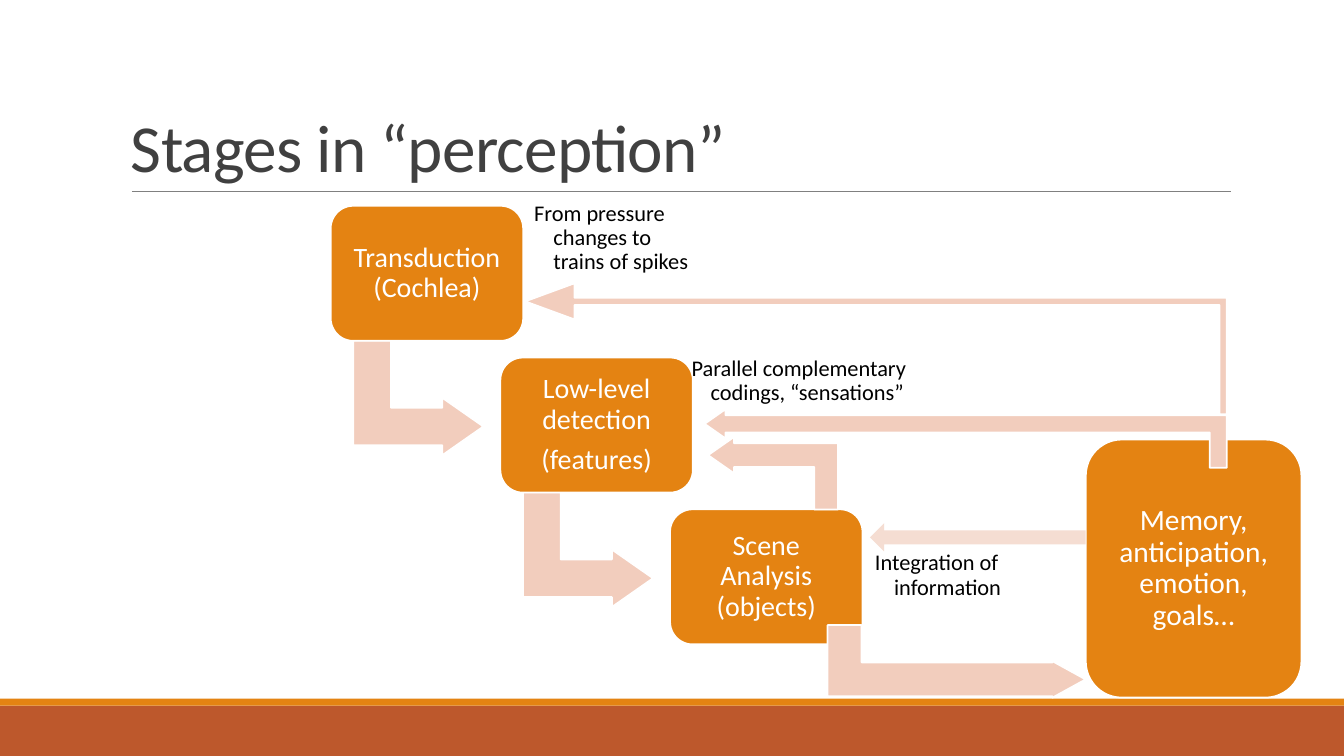
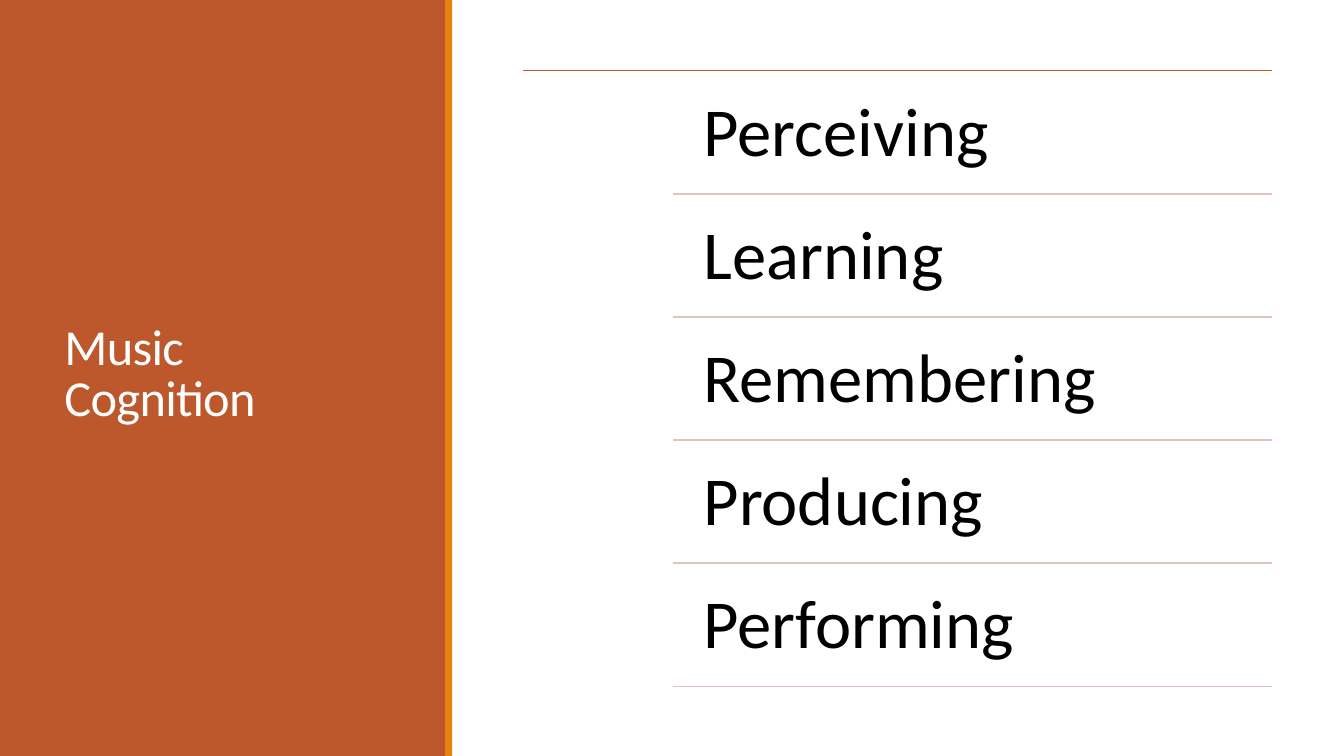
"""Build two slides on stages of perception and music cognition."""
from lxml import etree
from pptx import Presentation
from pptx.dml.color import RGBColor
from pptx.enum.shapes import MSO_CONNECTOR, MSO_SHAPE
from pptx.enum.text import MSO_ANCHOR, PP_ALIGN
from pptx.oxml.ns import qn
from pptx.util import Pt

RECTANGLE = MSO_SHAPE.RECTANGLE
ROUNDED = MSO_SHAPE.ROUNDED_RECTANGLE
BENT_ARROW = MSO_SHAPE.BENT_UP_ARROW
RIGHT_ARROW = MSO_SHAPE.RIGHT_ARROW
STRAIGHT = MSO_CONNECTOR.STRAIGHT
TOP, MIDDLE, BOTTOM = MSO_ANCHOR.TOP, MSO_ANCHOR.MIDDLE, MSO_ANCHOR.BOTTOM
LEFT, CENTER = PP_ALIGN.LEFT, PP_ALIGN.CENTER

FONT = "Calibri"
WIDTH, HEIGHT = 960, 540
ACCENT = 5
COLORS = {
    "rust": "BD582C", "orange": "E48312", "white": "FFFFFF", "black": "000000",
    "title": "404040", "gray": "808080", "arrow": "F2CDBD",
    "pale_arrow": "F5DDD2", "divider": "E1C4BE",
}

STAGE_SIZE = (137.5, 96.5)
STAGE_STEP = (121.2, 108.4)
STAGES = [
    (["Transduction (Cochlea)"],
     "From pressure changes to trains of spikes", (140.4, -1.4, 128.9, 49)),
    (["Low-level detection", "(features)"],
     "Parallel complementary codings, “sensations”", (131.6, -20.7, 170.6, 74.9)),
    (["Scene Analysis (objects)"],
     "Integration of information", (141.4, 8.6, 125.3, 77.8)),
]
TURN = (0.328, 0.25, 0.358)
ARROWS_BEHIND = [
    ((526.3, 291.6, 51.8, 92.9), 270, TURN),
    ((578.9, -1.4, 93.6, 501.1), 270, (0.055, 0.138, 0.377)),
]
ARROWS_IN_FRONT = [
    ((657.4, 380.2, 51.8, 184.3), 90, (0.468, 0.25, 0.455)),
    ((668.9, 126.7, 41.8, 373), 270, (0.293, 0.25, 0.358)),
]
TOPICS = ["Perceiving", "Learning", "Remembering", "Producing", "Performing"]


def color(name):
    """Return a named colour."""
    return RGBColor.from_string(COLORS[name])


def add_block(page, kind, box, fill, outline=None):
    """Add a filled preset shape."""
    block = page.shapes.add_shape(kind, *map(Pt, box))
    block.shadow.inherit = False
    block.fill.solid()
    block.fill.fore_color.rgb = color(fill)
    if outline:
        block.line.color.rgb = color(outline)
        block.line.width = Pt(1.25)
    else:
        block.line.fill.background()
    return block


def add_rule(page, left, right, y, line_color, weight):
    """Add a horizontal line."""
    rule = page.shapes.add_connector(STRAIGHT, Pt(left), Pt(y), Pt(right), Pt(y))
    rule.line.color.rgb = color(line_color)
    rule.line.width = Pt(weight)
    etree.SubElement(rule._element.spPr, qn("a:effectLst"))


def write(shape, lines, size, text_color, anchor=MIDDLE, align=LEFT,
          inset=(7.2, 3.6), spacing=0.9, hanging=0, tracking=0):
    """Write styled paragraphs into a shape."""
    frame = shape.text_frame
    frame.word_wrap = True
    frame.vertical_anchor = anchor
    frame.margin_left = frame.margin_right = Pt(inset[0])
    frame.margin_top = frame.margin_bottom = Pt(inset[1])
    for index, line in enumerate(lines):
        para = frame.add_paragraph() if index else frame.paragraphs[0]
        para.text = line
        para.alignment = align
        para.line_spacing = spacing
        if index < len(lines) - 1:
            para.space_after = Pt(round(size * 0.35))
        if hanging:
            properties = para._p.get_or_add_pPr()
            properties.set("marL", str(Pt(hanging)))
            properties.set("indent", str(-Pt(hanging)))
        font = para.font
        font.name = FONT
        font.size = Pt(size)
        font.color.rgb = color(text_color)
        if tracking:
            font._rPr.set("spc", str(round(tracking * 100)))


def add_text(page, box, lines, size, text_color, **style):
    """Add a text box."""
    write(page.shapes.add_textbox(*map(Pt, box)), lines, size, text_color, **style)


def add_title(page, box, text, size, text_color, anchor):
    """Add a slide title."""
    add_text(page, box, [text], size, text_color, anchor=anchor,
             spacing=0.85, tracking=-0.5)


def add_bands(page, band, accent):
    """Add the rust band and its orange edge."""
    add_block(page, RECTANGLE, band, "rust")
    add_block(page, RECTANGLE, accent, "orange")


def add_bent_arrow(page, box, rotation, adjustments):
    """Add a rotated bent arrow."""
    arrow = add_block(page, BENT_ARROW, box, "arrow", "white")
    arrow.rotation = rotation
    for index, value in enumerate(adjustments):
        arrow.adjustments[index] = value


def add_card(page, box, lines, size):
    """Add a rounded orange card with centred text."""
    card = add_block(page, ROUNDED, box, "orange", "white")
    write(card, lines, size, "white", align=CENTER, inset=(5.4, 5.4))


def add_stage(page, left, top, lines, note, note_box, leads_on):
    """Add one stage with its note and the arrow to the next stage."""
    if leads_on:
        add_bent_arrow(page, (left + 21.6, top + 90.7, 82, 92.9), 90, TURN)
    add_card(page, (left, top, *STAGE_SIZE), lines, 20)
    x, y, width, height = note_box
    add_text(page, (left + x, top + y, width, height), [note], 16, "black",
             inset=(5, 5), hanging=13.7)


def add_stages(page, left, top):
    """Add the descending staircase of stages."""
    for index, (lines, note, note_box) in enumerate(STAGES):
        add_stage(page, left + index * STAGE_STEP[0], top + index * STAGE_STEP[1],
                  lines, note, note_box, index < len(STAGES) - 1)


def build_perception(page):
    """Build the slide of perception stages and feedback."""
    add_bands(page, (0, 504, WIDTH, 36), (0, 499, WIDTH, ACCENT))
    add_rule(page, 94.3, 879.1, 136.8, "gray", 0.5)
    add_title(page, (86.4, 22.3, 792, 114.5), "Stages in “perception”",
              48, "title", BOTTOM)
    add_stages(page, 236.2, 147)
    for arrow in ARROWS_BEHIND:
        add_bent_arrow(page, *arrow)
    add_card(page, (775.6, 314, 154, 184.3),
             ["Memory, anticipation, emotion, goals…"], 21)
    for arrow in ARROWS_IN_FRONT:
        add_bent_arrow(page, *arrow)
    integration = add_block(page, RIGHT_ARROW, (621.4, 373.7, 154, 20.2), "pale_arrow")
    integration.rotation = 180


def add_topics(page, left, top, width, step):
    """Add the topics, divided by lines."""
    right, indent = left + width, left + width / 5
    add_rule(page, left, right, top, "rust", 1.25)
    for index, topic in enumerate(TOPICS):
        y = top + index * step
        add_text(page, (indent + 7.6, y + 4.3, right - indent - 7.6, step - 4.5),
                 [topic], 49, "black", anchor=TOP, inset=(14.4, 14.4))
        add_rule(page, indent, right, y + step, "divider", 1.25)


def build_cognition(page):
    """Build the slide of music cognition topics."""
    add_bands(page, (0, 0, 319, HEIGHT), (318, 0, ACCENT, HEIGHT))
    add_title(page, (39, 41, 238, 454.3), "Music Cognition", 36, "white", MIDDLE)
    add_topics(page, 373.6, 50.4, 535, 88)


def main():
    """Build and save the deck."""
    deck = Presentation()
    deck.slide_width, deck.slide_height = Pt(WIDTH), Pt(HEIGHT)
    for build in (build_perception, build_cognition):
        build(deck.slides.add_slide(deck.slide_layouts[6]))
    deck.save("out.pptx")


if __name__ == "__main__":
    main()
